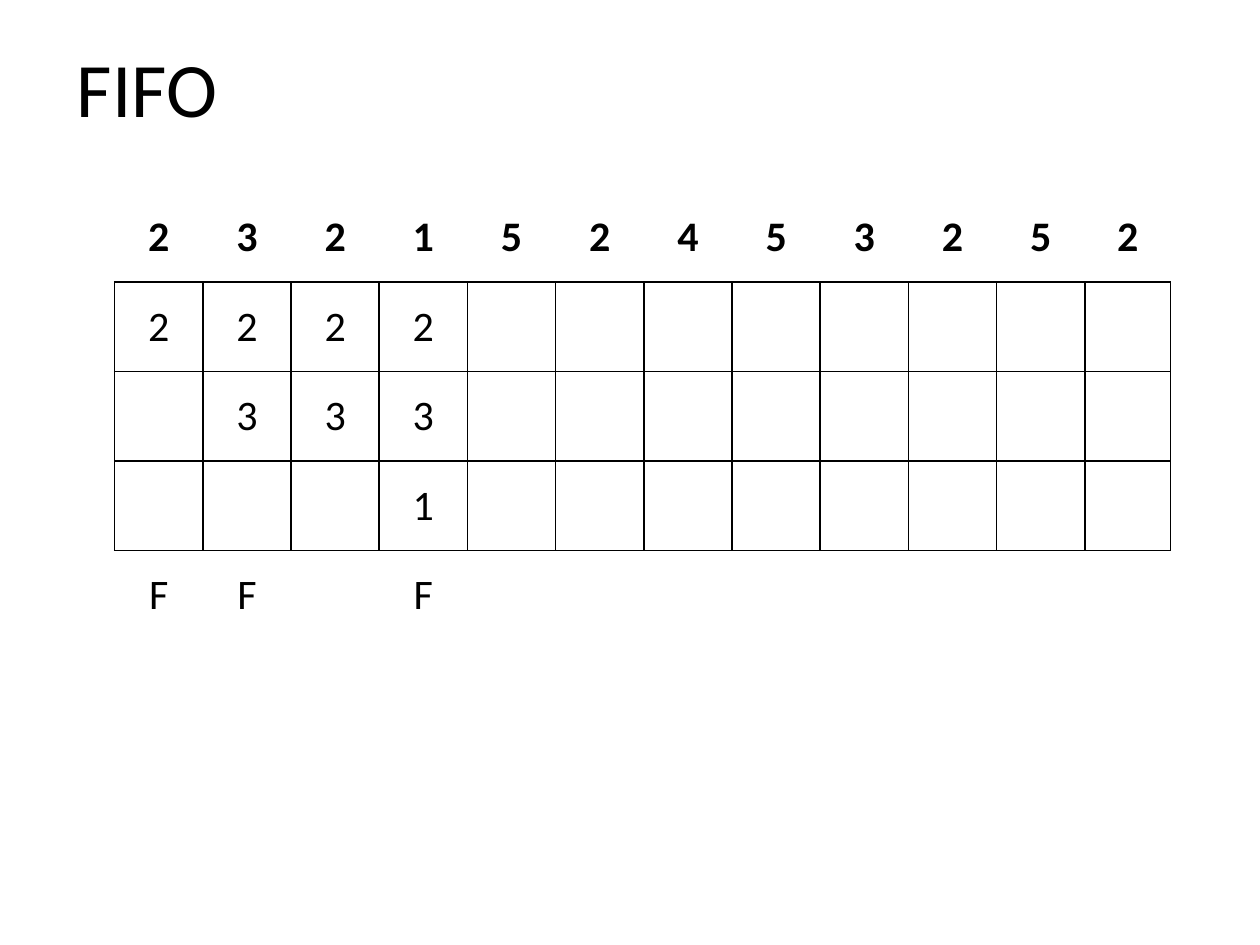
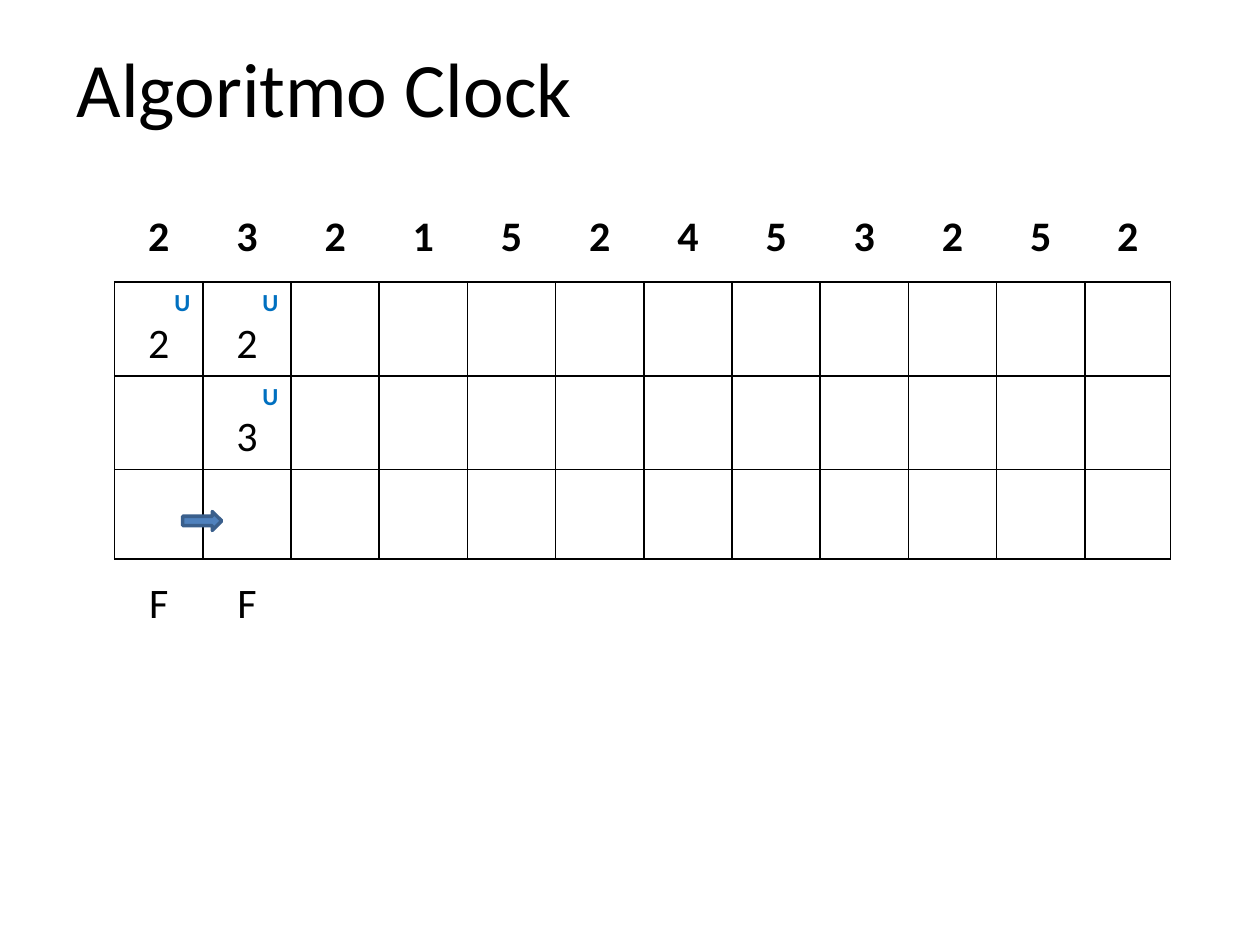
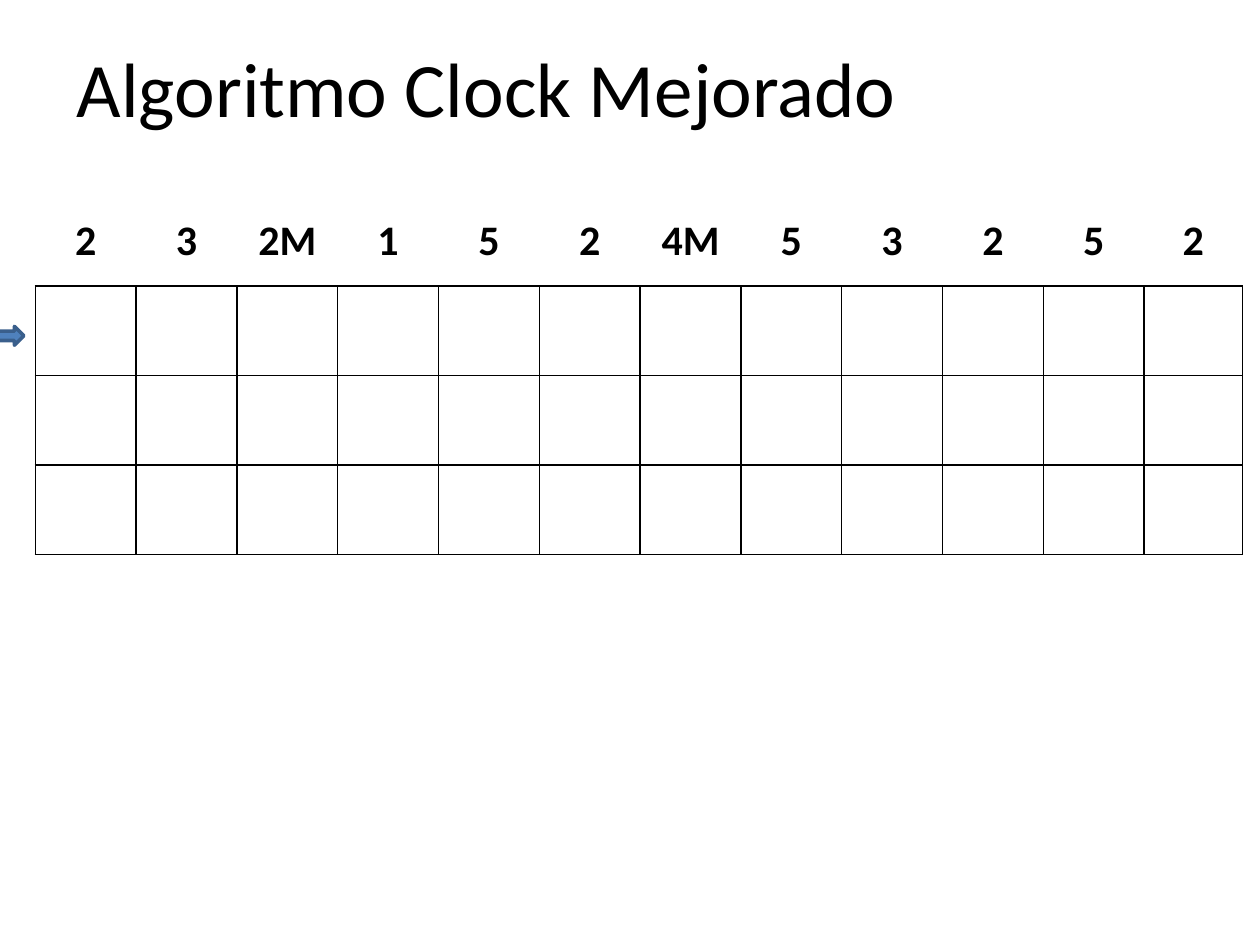
from lxml import etree
from pptx import Presentation
from pptx import util as u
from pptx.dml import color
from pptx.enum import shapes, text
from pptx.oxml import ns

INK, MARK, BLUE, EDGE = "000000", "0070C0", "4F81BD", "3A5F8C"
ALIGN = text.PP_ALIGN
ROWS, HIGH = 5, 0.71
TRIM = 0.02

PAGES = [
    {"title": "FIFO", "wide": 1.42, "left": 0.91, "top": 1.53, "col": 0.7,
     "refs": "2 3 2 1 5 2 4 5 3 2 5 2",
     "grid": ["2 2 2 2", "- 3 3 3", "- - - 1", "F F - F"],
     "arrow": None},
    {"title": "Algoritmo Clock", "wide": 4.96, "left": 0.91, "top": 1.53, "col": 0.7,
     "refs": "2 3 2 1 5 2 4 5 3 2 5 2",
     "grid": ["U2 U2", "- U3", "", "F F"],
     "arrow": (1.45, 4.06)},
    {"title": "Algoritmo Clock Mejorado", "wide": 7.4, "left": 0.28, "top": 1.56, "col": 0.8,
     "refs": "2 3 2M 1 5 2 4M 5 3 2 5 2",
     "grid": ["", "", "", ""],
     "arrow": (-0.12, 2.59)},
]


def style(run, size, tone=INK, bold=False):
    run.font.name = "Calibri"
    run.font.size = u.Pt(size)
    run.font.bold = bold
    run.font.color.rgb = color.RGBColor.from_string(tone)


def border(cell, sides):
    props = cell._tc.get_or_add_tcPr()
    for side in "LRTB":
        line = etree.SubElement(props, ns.qn("a:ln" + side), w=str(u.Pt(1)))
        if side in sides:
            fill = etree.SubElement(line, ns.qn("a:solidFill"))
            etree.SubElement(fill, ns.qn("a:srgbClr"), val=INK)
        else:
            etree.SubElement(line, ns.qn("a:noFill"))


deck = Presentation()
deck.slide_width, deck.slide_height = u.Inches(10), u.Inches(7.5)

for page in PAGES:
    slide = deck.slides.add_slide(deck.slide_layouts[0])
    sub = slide.placeholders[1]._element
    sub.getparent().remove(sub)

    title = slide.shapes.title
    title.left, title.top = u.Inches(0.51), u.Inches(0.29)
    title.width, title.height = u.Inches(page["wide"]), u.Inches(0.79)
    title.text_frame.vertical_anchor = text.MSO_ANCHOR.MIDDLE
    para = title.text_frame.paragraphs[0]
    para.alignment = ALIGN.LEFT
    run = para.add_run()
    run.text = page["title"]
    style(run, 44)

    refs = page["refs"].split()
    count = len(refs)
    frame = slide.shapes.add_table(
        ROWS, count, u.Inches(page["left"]), u.Inches(page["top"]),
        u.Inches(page["col"] * count - TRIM), u.Inches(HIGH * ROWS))
    table = frame.table
    table.first_row = table.horz_banding = False
    for col in table.columns:
        col.width = u.Inches(page["col"])
    table.columns[count - 1].width = u.Inches(page["col"] - TRIM)

    lines = [refs] + [line.split() for line in page["grid"]]
    for row, words in enumerate(lines):
        table.rows[row].height = u.Inches(HIGH)
        sides = {0: "B", ROWS - 1: "T"}.get(row, "LRTB")
        for col in range(count):
            cell = table.cell(row, col)
            border(cell, sides)
            cell.fill.background()
            cell.vertical_anchor = text.MSO_ANCHOR.MIDDLE
            word = words[col] if col < len(words) else "-"
            if word == "-":
                continue
            para = cell.text_frame.paragraphs[0]
            if word.startswith("U"):
                para.alignment = ALIGN.RIGHT
                run = para.add_run()
                run.text = "U"
                style(run, 14, MARK, True)
                para = cell.text_frame.add_paragraph()
                word = word[1:]
            para.alignment = ALIGN.CENTER
            run = para.add_run()
            run.text = word
            style(run, 24, bold=row == 0)

    if page["arrow"]:
        left, top = page["arrow"]
        arrow = slide.shapes.add_shape(
            shapes.MSO_SHAPE.RIGHT_ARROW,
            u.Inches(left), u.Inches(top), u.Inches(0.31), u.Inches(0.15))
        arrow.shadow.inherit = False
        arrow.fill.solid()
        arrow.fill.fore_color.rgb = color.RGBColor.from_string(BLUE)
        arrow.line.color.rgb = color.RGBColor.from_string(EDGE)
        arrow.line.width = u.Pt(2)

deck.save("out.pptx")
